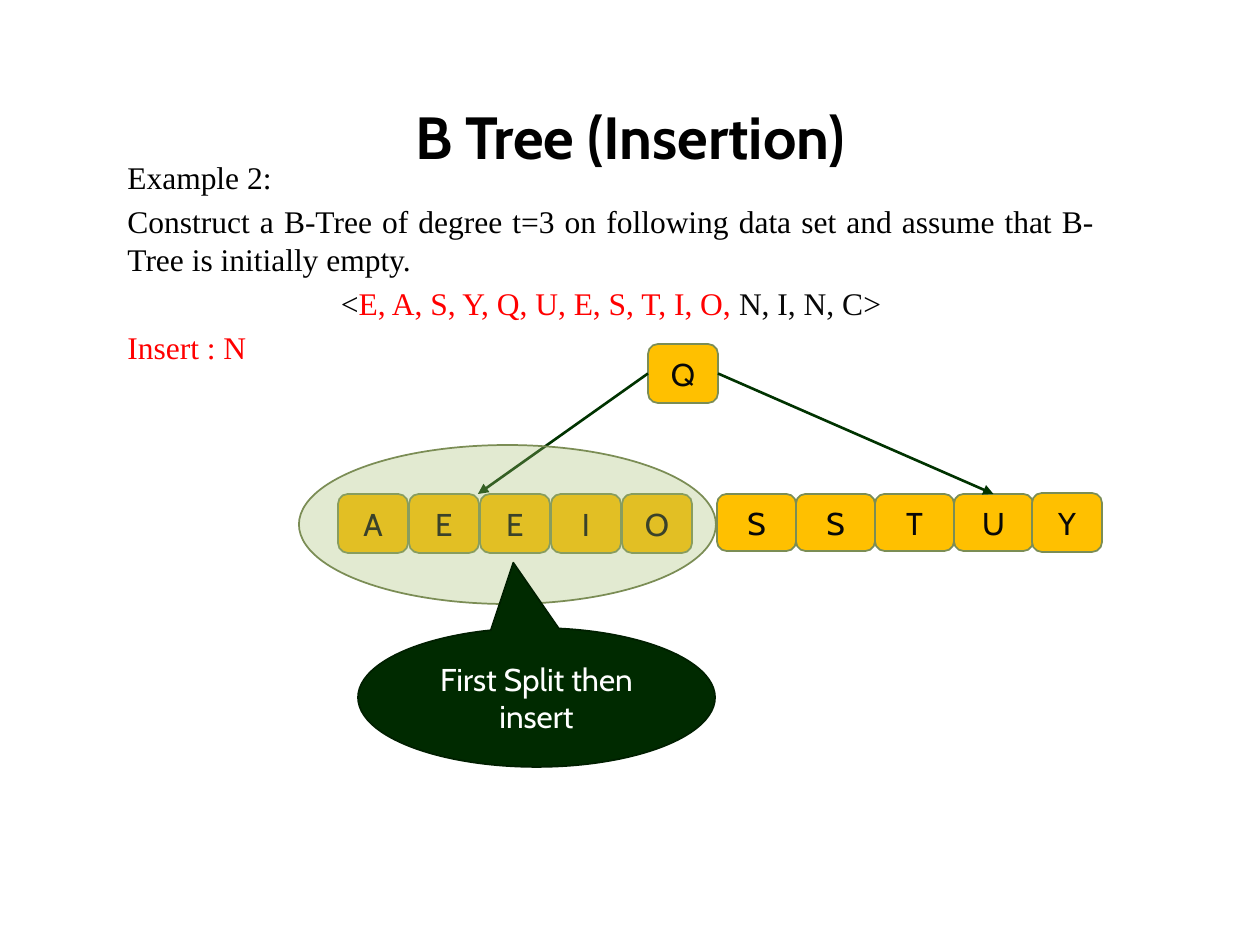
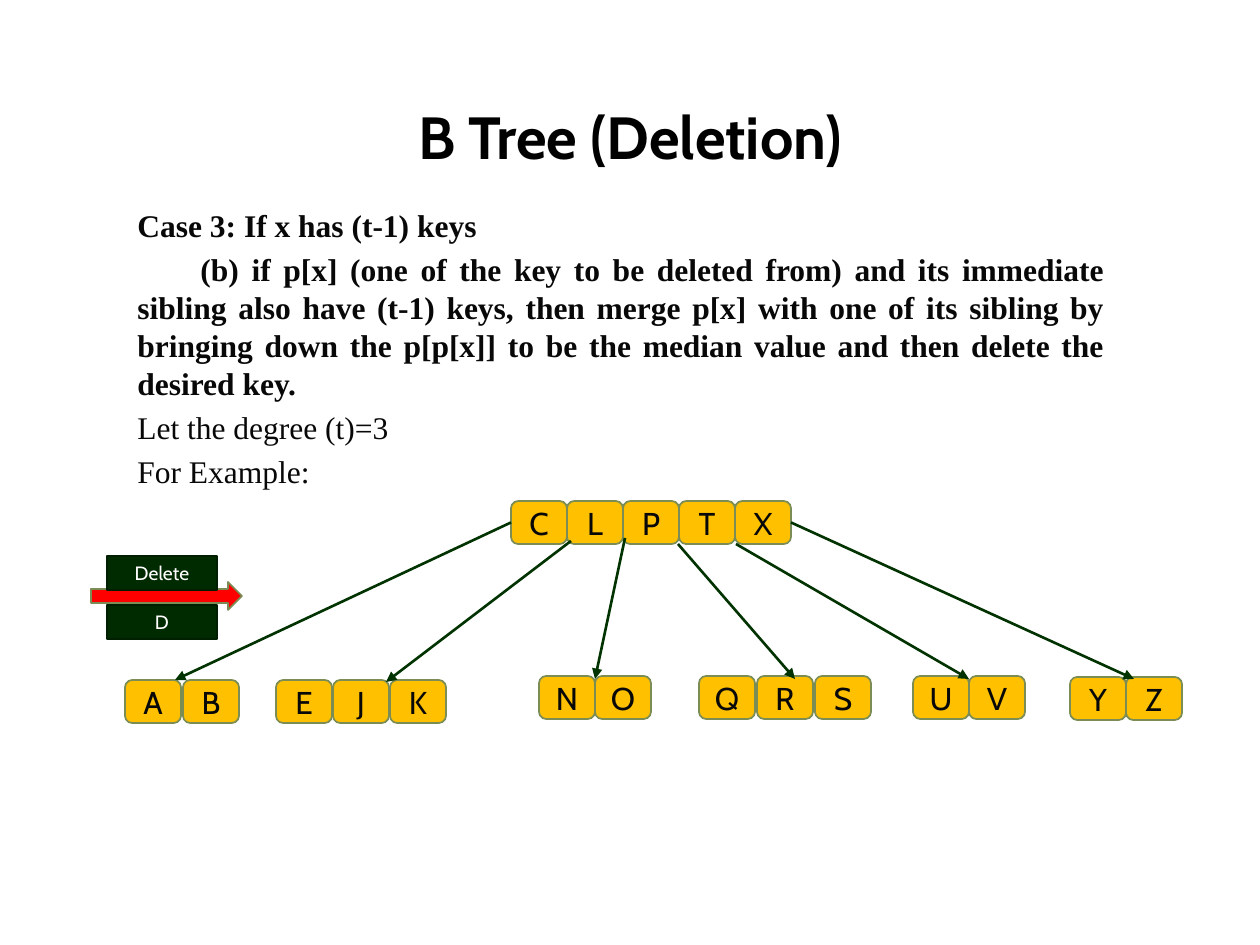
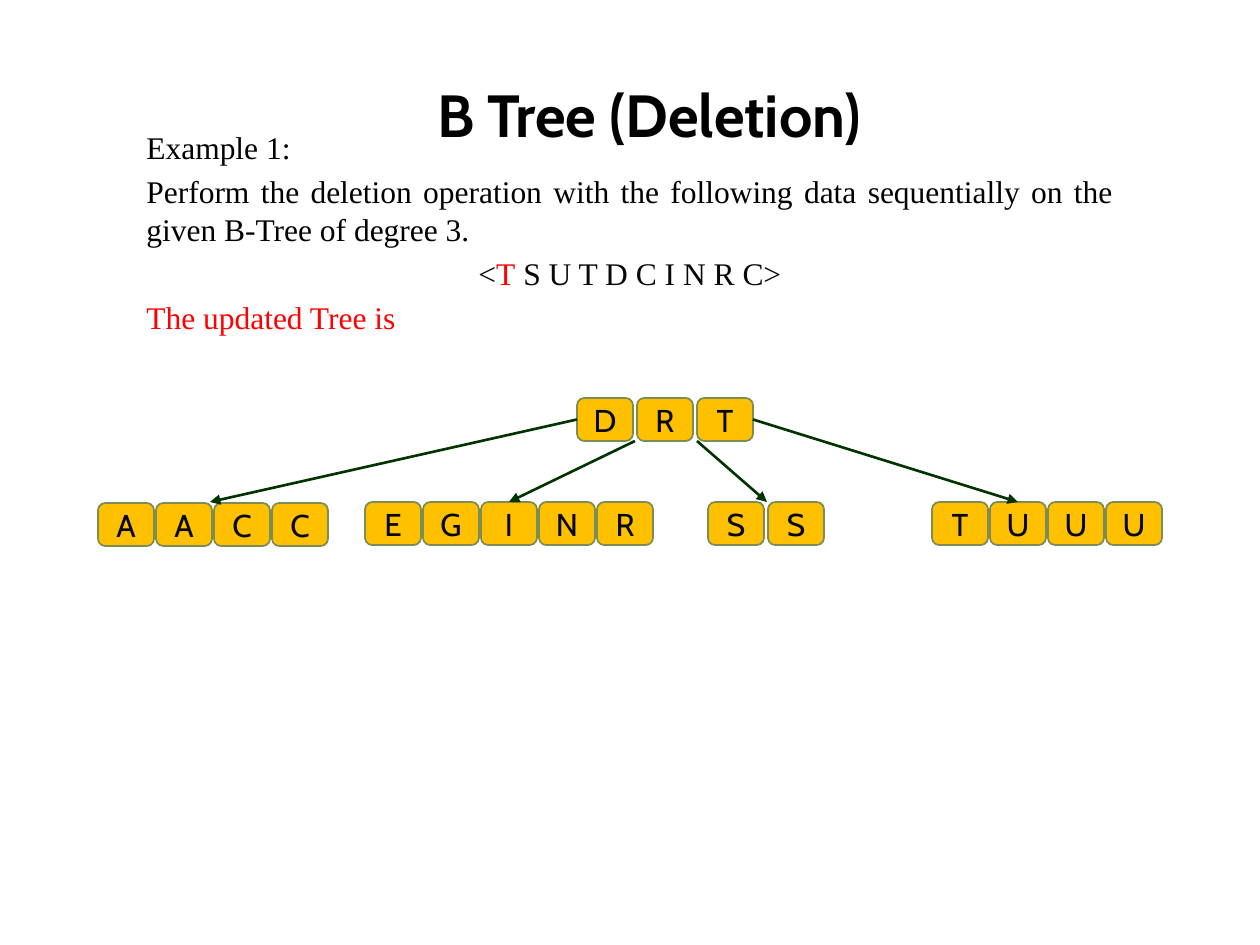
from typing import NamedTuple

from lxml import etree
from pptx import Presentation
from pptx.dml.color import RGBColor
from pptx.enum.shapes import MSO_CONNECTOR, MSO_SHAPE
from pptx.enum.text import MSO_ANCHOR, PP_ALIGN
from pptx.oxml.ns import qn
from pptx.util import Pt

EMU_PER_PX = 914400 / 126

BLACK = RGBColor(0x00, 0x00, 0x00)
INK = RGBColor(0x08, 0x08, 0x08)
WHITE = RGBColor(0xFF, 0xFF, 0xFF)
RED = RGBColor(0xFF, 0x00, 0x00)
AMBER = RGBColor(0xFF, 0xC0, 0x00)
OLIVE = RGBColor(0x7B, 0x8D, 0x55)
SAGE = RGBColor(0xA6, 0xBF, 0x73)
FOREST = RGBColor(0x00, 0x2A, 0x00)
DARK_FOREST = RGBColor(0x00, 0x1F, 0x00)
ARROW_GREEN = RGBColor(0x00, 0x33, 0x00)

HEADING_FONT = "Cabin"
BODY_FONT = "Times New Roman"
TOP, LEFT, RIGHT = 0, 1, 3
LEFT_ALIGN, CENTER, JUSTIFY = PP_ALIGN.LEFT, PP_ALIGN.CENTER, PP_ALIGN.JUSTIFY


class Row(NamedTuple):
    """A B-tree node: touching keys, placed relative to the tree's corner."""
    keys: str
    left: int
    top: int
    pitch: int = 56
    width: int = 56
    height: int = 43


class Site(NamedTuple):
    """The middle of one side of a key."""
    row: int
    key: int
    side: int


class Line(NamedTuple):
    """A body paragraph made of (text, colour) runs."""
    runs: list
    alignment: PP_ALIGN = JUSTIFY
    bold: bool = False
    indent: int = 0


def px(length):
    return round(length * EMU_PER_PX)


def px_box(box):
    return [px(length) for length in box]


def style_font(font, name, size, color, bold=False):
    font.name = name
    font.size = Pt(size)
    font.color.rgb = color
    font.bold = bold


def add_figure(slide, kind, box, fill, line):
    shape = slide.shapes.add_shape(kind, *px_box(box))
    shape.shadow.inherit = False
    shape.fill.solid()
    shape.fill.fore_color.rgb = fill
    shape.line.color.rgb = line
    shape.line.width = Pt(1)
    return shape


def set_label(shape, text, color, size=18, inset=0):
    frame = shape.text_frame
    frame.text = text
    frame.word_wrap = True
    frame.vertical_anchor = MSO_ANCHOR.MIDDLE
    frame.margin_left = frame.margin_right = px(inset)
    frame.margin_top = frame.margin_bottom = px(inset // 2)
    paragraph = frame.paragraphs[0]
    paragraph.alignment = CENTER
    style_font(paragraph.runs[0].font, HEADING_FONT, size, color)


def add_title(slide, text, left=63, top=86):
    textbox = slide.shapes.add_textbox(*px_box((left, top, 1134, 100)))
    set_label(textbox, text, BLACK, 34)
    textbox.text_frame.paragraphs[0].runs[0].font.bold = True


def add_body(slide, box, lines):
    frame = slide.shapes.add_textbox(*px_box(box)).text_frame
    frame.word_wrap = True
    for index, line in enumerate(lines):
        paragraph = frame.add_paragraph() if index else frame.paragraphs[0]
        paragraph.alignment = line.alignment
        if index:
            paragraph.space_before = Pt(3.6)
        if line.indent:
            paragraph._p.get_or_add_pPr().set("indent", str(px(line.indent)))
        for text, color in line.runs:
            run = paragraph.add_run()
            run.text = text
            style_font(run.font, BODY_FONT, 18, color, line.bold)


def add_keys(slide, row, left, top):
    keys = []
    for index, letter in enumerate(row.keys):
        box = (left + row.left + index * row.pitch, top + row.top,
               row.width, row.height)
        key = add_figure(slide, MSO_SHAPE.ROUNDED_RECTANGLE, box, AMBER, OLIVE)
        set_label(key, letter, INK)
        keys.append(key)
    return keys


def add_arrow(slide, start, end):
    arrow = slide.shapes.add_connector(
        MSO_CONNECTOR.STRAIGHT, *px_box(start + end))
    arrow.line.color.rgb = ARROW_GREEN
    arrow.line.width = Pt(1.5)
    etree.SubElement(arrow.line._get_or_add_ln(), qn("a:tailEnd"), type="triangle")
    etree.SubElement(arrow._element.spPr, qn("a:effectLst"))
    return arrow


def add_tree(slide, left, top, rows, links):
    """Draw the rows and join them; a link ends at a Site or at an (x, y) point."""
    nodes = [add_keys(slide, row, left, top) for row in rows]

    def position(end):
        x, y = (0, 0) if isinstance(end, Site) else end
        return left + x, top + y

    for start, end in links:
        arrow = add_arrow(slide, position(start), position(end))
        if isinstance(start, Site):
            arrow.begin_connect(nodes[start.row][start.key], start.side)
        if isinstance(end, Site):
            arrow.end_connect(nodes[end.row][end.key], end.side)


def add_split_note(slide, left, top):
    """Highlight the full node and say what happens to it."""
    highlight = add_figure(slide, MSO_SHAPE.OVAL, (left, top, 417, 159), SAGE, OLIVE)
    color = highlight.fill._xPr.find(qn("a:solidFill"))[0]
    etree.SubElement(color, qn("a:alpha"), val="32000")

    callout = add_figure(slide, MSO_SHAPE.OVAL_CALLOUT,
                         (left + 59, top + 183, 357, 139), FOREST, DARK_FOREST)
    callout.adjustments[0] = -0.065
    callout.adjustments[1] = -0.97
    set_label(callout, "First Split then insert", WHITE, inset=12)


def add_delete_badge(slide, left, top):
    add_figure(slide, MSO_SHAPE.RIGHT_ARROW, (left, top + 26, 151, 28), RED, OLIVE)
    for index, text in enumerate(("Delete", "D")):
        box = (left + 16, top + index * 49, 110, 34)
        label = add_figure(slide, MSO_SHAPE.RECTANGLE, box, FOREST, DARK_FOREST)
        set_label(label, text, WHITE, 11)


def build_insertion(slide):
    add_title(slide, "B Tree (Insertion)")
    add_body(slide, (115, 152, 992, 639), [
        Line([("Example 2:", BLACK)]),
        Line([("Construct a B-Tree of degree t=3 on following data set and "
               "assume that B-Tree is initially empty.", BLACK)]),
        Line([("<", BLACK), ("E, A, S, Y, Q, U, E, S, T, I, O, ", RED),
              ("N, I, N, C", INK), (">", BLACK)], CENTER),
        Line([("Insert : N", RED)], LEFT_ALIGN),
    ])
    rows = [
        Row("Q", 310, 0, 70, 70, 59),
        Row("AEEIO", 0, 150, 71, 70, 59),
        Row("SSTU", 379, 150, 79, 79, 57),
        Row("Y", 694, 149, 70, 70, 59),
    ]
    add_tree(slide, 338, 344, rows, [
        (Site(0, 0, LEFT), (140, 150)),
        (Site(0, 0, RIGHT), Site(2, 3, TOP)),
    ])
    add_split_note(slide, 299, 445)


def build_merge_case(slide):
    add_title(slide, "B Tree (Deletion)")
    add_body(slide, (125, 200, 992, 597), [
        Line([("Case 3: If x has (t-1) keys", INK)], bold=True),
        Line([("(b) if p[x] (one of the key to be deleted from) and its "
               "immediate sibling also have (t-1) keys, then merge p[x] with "
               "one of its sibling by bringing down the p[p[x]] to be the "
               "median value and then delete the desired key.", INK)],
             bold=True, indent=63),
        Line([("Let the degree (t)=3", INK)]),
        Line([("For Example:", INK)]),
    ])
    add_delete_badge(slide, 91, 556)
    rows = [
        Row("CLPTX", 386, 0),
        Row("AB", 0, 179, 58),
        Row("EJK", 151, 179, 57),
        Row("NO", 414, 175),
        Row("QRS", 574, 175, 58),
        Row("UV", 788, 175),
        Row("YZ", 945, 176),
    ]
    add_tree(slide, 125, 501, rows, [
        (Site(0, 0, LEFT), (50, 179)),
        ((446, 40), (261, 181)),
        ((500, 37), (470, 178)),
        ((553, 43), (670, 178)),
        ((611, 43), (844, 178)),
        (Site(0, 4, RIGHT), (1009, 178)),
    ])


def build_updated_tree(slide):
    add_title(slide, "B Tree (Deletion)", 82, 64)
    add_body(slide, (134, 122, 992, 234), [
        Line([("Example 1:", BLACK)]),
        Line([("Perform the deletion operation with the following data "
               "sequentially on the given B-Tree of degree 3.", BLACK)]),
        Line([("<", INK), ("T", RED), (" S U T D C I N R C>", INK)], CENTER),
        Line([("The updated Tree is", RED)], LEFT_ALIGN),
    ])
    rows = [
        Row("DRT", 479, 0, 60),
        Row("AACC", 0, 105, 58),
        Row("EGINR", 267, 104, 58),
        Row("SS", 610, 104, 60),
        Row("TUUU", 834, 104, 58),
    ]
    add_tree(slide, 98, 398, rows, [
        (Site(0, 0, LEFT), (112, 104)),
        ((537, 43), Site(2, 2, TOP)),
        ((599, 43), (669, 104)),
        (Site(0, 2, RIGHT), Site(4, 1, TOP)),
    ])


def main():
    presentation = Presentation()
    presentation.slide_width = px(1260)
    presentation.slide_height = px(945)
    blank = presentation.slide_layouts[6]
    for build in (build_insertion, build_merge_case, build_updated_tree):
        build(presentation.slides.add_slide(blank))
    presentation.save("out.pptx")


if __name__ == "__main__":
    main()
